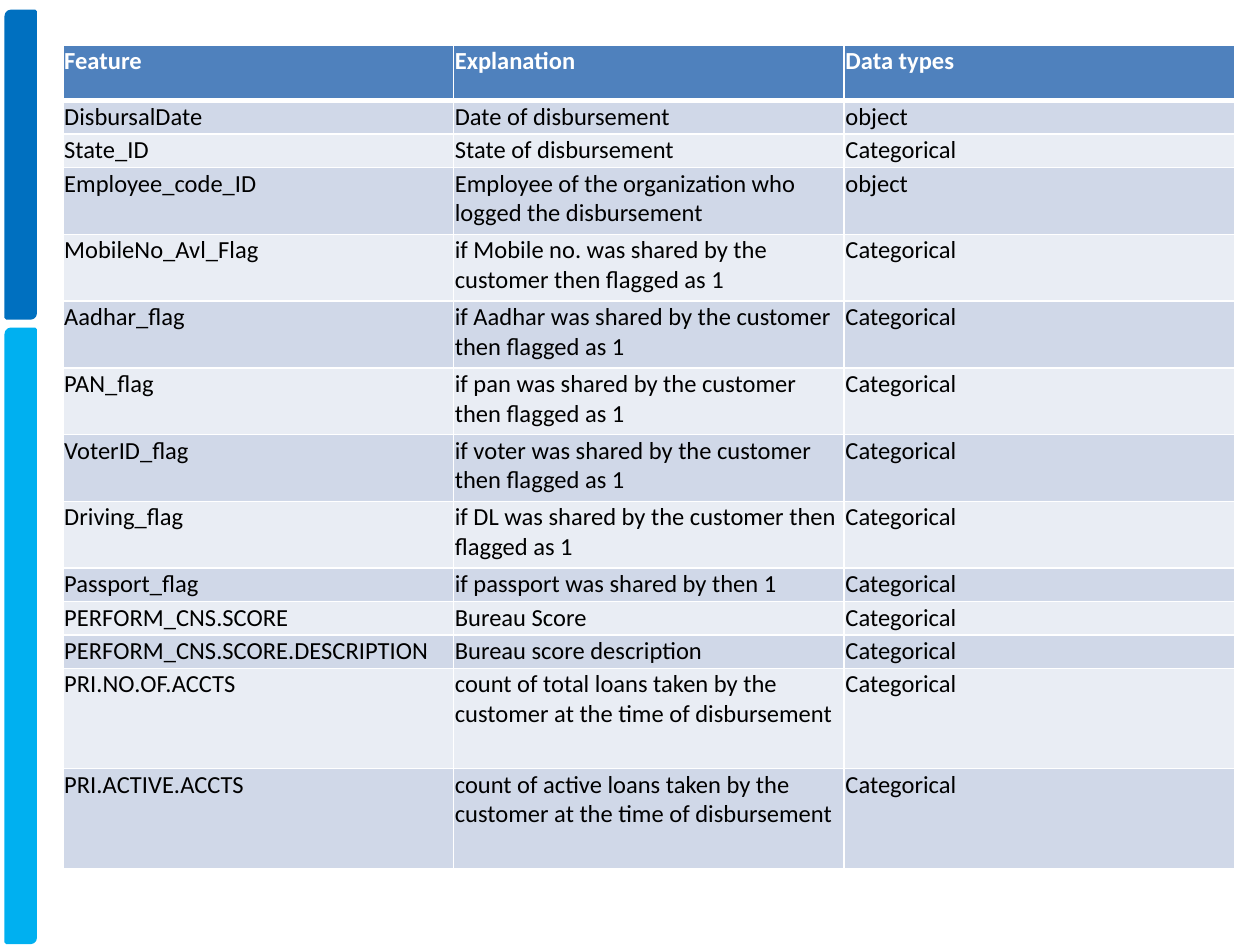
from lxml import etree
from pptx import Presentation
from pptx import util as u
from pptx.dml.color import RGBColor
from pptx.enum import shapes
from pptx.oxml import ns

WIDE, HIGH = 10, 7.5
UNIT = 0.265
HEAD = 0.44
FLAG = "Categorical"
ROWS = [
    (1, "DisbursalDate", "Date of disbursement", "object"),
    (1, "State_ID", "State of disbursement", FLAG),
    (2, "Employee_code_ID",
     "Employee of the organization who logged the disbursement", "object"),
    (2, "MobileNo_Avl_Flag",
     "if Mobile no. was shared by the customer then flagged as 1", FLAG),
    (2, "Aadhar_flag",
     "if Aadhar was shared by the customer then flagged as 1", FLAG),
    (2, "PAN_flag",
     "if pan was shared by the customer then flagged as 1", FLAG),
    (2, "VoterID_flag",
     "if voter was shared by the customer then flagged as 1", FLAG),
    (2, "Driving_flag",
     "if DL was shared by the customer then flagged as 1", FLAG),
    (1, "Passport_flag", "if passport was shared by then 1", FLAG),
    (1, "PERFORM_CNS.SCORE", "Bureau Score", FLAG),
    (1, "PERFORM_CNS.SCORE.DESCRIPTION", "Bureau score description", FLAG),
    (3, "PRI.NO.OF.ACCTS",
     "count of total loans taken by the customer at the time of disbursement",
     FLAG),
    (3, "PRI.ACTIVE.ACCTS",
     "count of active loans taken by the customer at the time of disbursement",
     FLAG),
]


def paint(part, tint):
    part.solid()
    part.fore_color.rgb = RGBColor.from_string(tint)


def edge(cell, sides):
    props = cell._tc.get_or_add_tcPr()
    for spot, (side, size) in enumerate(sides.items()):
        line = etree.Element(ns.qn("a:ln" + side), w=str(u.Pt(size)))
        fill = etree.SubElement(line, ns.qn("a:solidFill"))
        etree.SubElement(fill, ns.qn("a:srgbClr"), val="FFFFFF")
        props.insert(spot, line)


def write(cell, words, tint, bold):
    cell.margin_left = cell.margin_right = cell.margin_top = u.Inches(0.01)
    cell.margin_bottom = 0
    run = cell.text_frame.paragraphs[0].add_run()
    run.text = words
    font = run.font
    font.name, font.size, font.bold = "Calibri", u.Pt(14), bold
    font.color.rgb = RGBColor.from_string(tint)


def rail(slide, box):
    left, top, width, height = box
    gap = 0.09
    room = height - gap
    upper = room / 3
    bars = [(top, upper, "0070C0"),
            (top + upper + gap, room - upper, "00B0F0")]
    for start, tall, tint in bars:
        bar = slide.shapes.add_shape(
            shapes.MSO_SHAPE.ROUND_2_DIAG_RECTANGLE,
            *map(u.Inches, (left, start, width, tall)))
        bar.shadow.inherit = False
        paint(bar.fill, tint)
        paint(bar.line.fill, tint)
        bar.line.width = u.Pt(2)


def grid(slide, box):
    lines = [("Feature", "Explanation", "Data types")]
    lines += [row[1:] for row in ROWS]
    tall = [HEAD] + [row[0] * UNIT for row in ROWS]
    cols = len(lines[0])
    table = slide.shapes.add_table(
        len(lines), cols, *map(u.Inches, box)).table
    for col in table.columns:
        col.width = u.Inches(box[2] / cols)
    for i, line in enumerate(lines):
        table.rows[i].height = u.Inches(tall[i])
        head = i == 0
        tint = "4F81BD" if head else ("E9EDF4", "D0D8E8")[i % 2]
        sides = {"L": 1, "R": 1, "T": 3 if i == 1 else 1, "B": 3 if head else 1}
        for j, words in enumerate(line):
            cell = table.cell(i, j)
            write(cell, words, "FFFFFF" if head else "000000", head)
            paint(cell.fill, tint)
            edge(cell, sides)


def main():
    deck = Presentation()
    deck.slide_width, deck.slide_height = u.Inches(WIDE), u.Inches(HIGH)
    slide = deck.slides.add_slide(deck.slide_layouts[6])
    rail(slide, (0.05, 0.09, 0.23, 7.39))
    deep = HEAD + UNIT * sum(row[0] for row in ROWS)
    grid(slide, (WIDE * 0.05, 0.36, WIDE * 0.93, deep))
    deck.save("out.pptx")


if __name__ == "__main__":
    main()
